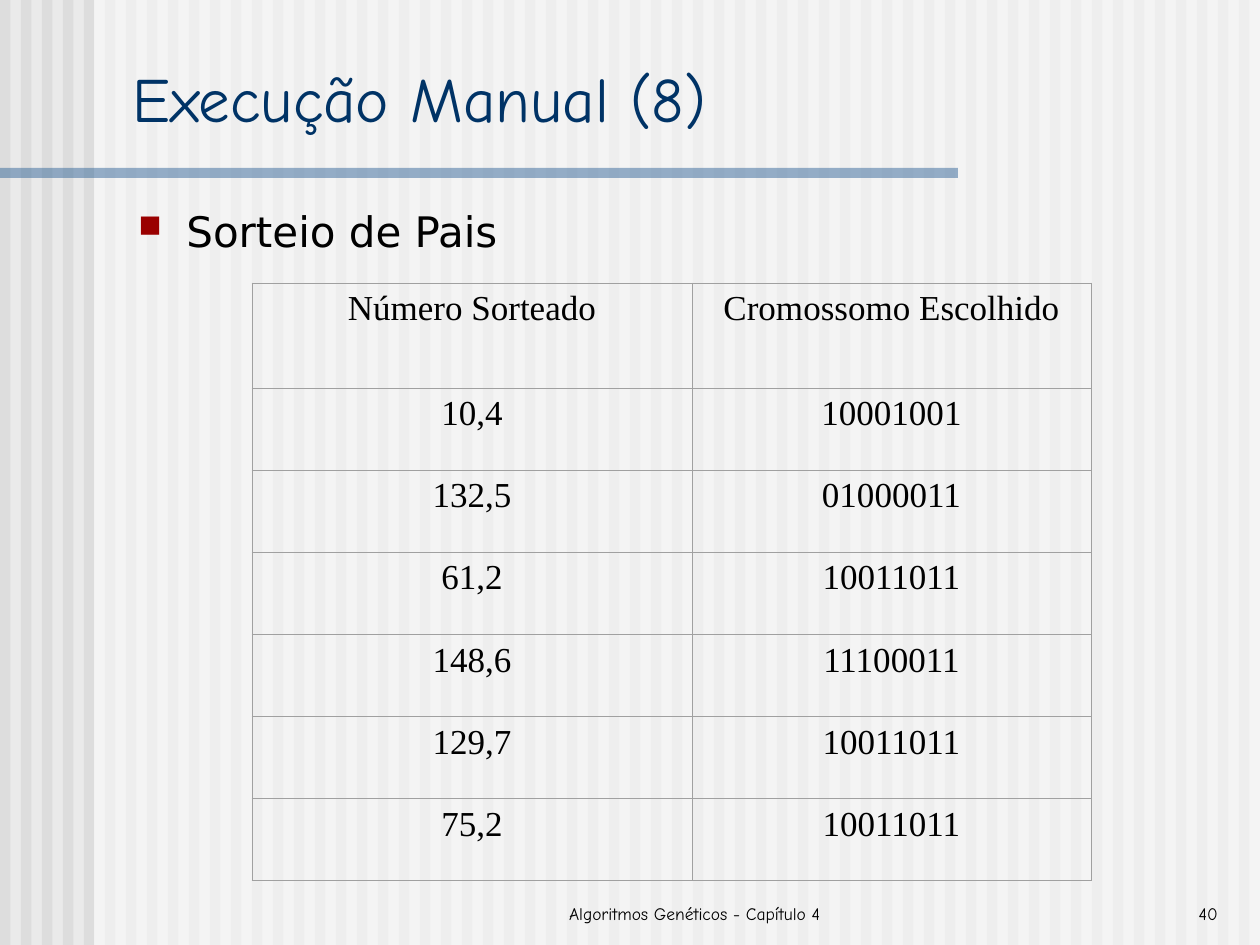
from pptx import Presentation
from pptx import util as u
from pptx.dml.color import RGBColor
from pptx.enum import shapes, text
from pptx.oxml import parse_xml
from pptx.oxml.ns import nsdecls, qn

TITLE = "Execução Manual (8)"
BULLET = "Sorteio de Pais"
FOOTER = "Algoritmos Genéticos - Capítulo 4"
PAGE = "40"
DRAWS = [
    ("Número Sorteado", "Cromossomo Escolhido"),
    ("10,4", "10001001"),
    ("132,5", "01000011"),
    ("61,2", "10011011"),
    ("148,6", "11100011"),
    ("129,7", "10011011"),
    ("75,2", "10011011"),
]


class Theme:
    background, stripe, veil, bar = "EAEAEA", "DDDDDD", "FFFFFF", "336699"
    title, ink, bullet, grid = "003366", "000000", "9A0000", "A0A0A0"
    title_font, body_font, table_font = "Comic Neue", "DejaVu Sans", "Times New Roman"
    title_size, body_size, table_size, footer_size = 36, 24, 20, 10
    grid_width = 0.6


WIDTH, HEIGHT = 1260, 945
STRIPE_PITCH = 21
TABLE_LEFT, TABLE_TOP = 252, 283
COLUMNS = (440, 399)
HEADER_HEIGHT, ROWS_HEIGHT = 105, 493
ROW_HEIGHT = ROWS_HEIGHT / (len(DRAWS) - 1)


def px(n):
    return u.Emu(round(n * 914400 / 126))


def rgb(value):
    return RGBColor.from_string(value)


def write(tf, content, font, size, color, align):
    tf.text = content
    p = tf.paragraphs[0]
    p.alignment = align
    r = p.runs[0]
    r.font.name, r.font.size, r.font.color.rgb = font, u.Pt(size), rgb(color)
    return p


def add_box(s, x, y, w, h, color, alpha=None):
    sp = s.shapes.add_shape(shapes.MSO_SHAPE.RECTANGLE, px(x), px(y), px(w), px(h))
    sp.shadow.inherit = False
    sp.fill.solid()
    sp.fill.fore_color.rgb = rgb(color)
    sp.line.fill.background()
    if alpha:
        fill = sp.element.spPr.find(qn("a:solidFill"))
        fill[0].append(parse_xml(f'<a:alpha {nsdecls("a")} val="{alpha * 1000}"/>'))


def add_text(s, x, y, w, h, anchor, *style):
    tf = s.shapes.add_textbox(px(x), px(y), px(w), px(h)).text_frame
    tf.word_wrap = True
    tf.vertical_anchor = anchor
    return write(tf, *style)


def add_bullet(p):
    pPr = p._p.get_or_add_pPr()
    pPr.set("marL", str(px(48)))
    pPr.set("indent", str(-px(48)))
    for xml in (
        f'<a:buClr {nsdecls("a")}><a:srgbClr val="{Theme.bullet}"/></a:buClr>',
        f'<a:buSzPct {nsdecls("a")} val="75000"/>',
        f'<a:buChar {nsdecls("a")} char="■"/>',
    ):
        pPr.append(parse_xml(xml))


def add_borders(cell):
    tcPr = cell._tc.get_or_add_tcPr()
    for side in ("lnL", "lnR", "lnT", "lnB"):
        tcPr.append(parse_xml(
            f'<a:{side} {nsdecls("a")} w="{u.Pt(Theme.grid_width)}"><a:solidFill>'
            f'<a:srgbClr val="{Theme.grid}"/></a:solidFill></a:{side}>'))


def add_draws(s):
    frame = s.shapes.add_table(
        len(DRAWS), len(COLUMNS), px(TABLE_LEFT), px(TABLE_TOP),
        px(sum(COLUMNS)), px(HEADER_HEIGHT + ROWS_HEIGHT))
    table = frame.table
    table.first_row = table.horz_banding = False
    for column, width in zip(table.columns, COLUMNS):
        column.width = px(width)
    for i, values in enumerate(DRAWS):
        table.rows[i].height = px(ROW_HEIGHT if i else HEADER_HEIGHT)
        for j, value in enumerate(values):
            cell = table.cell(i, j)
            add_borders(cell)
            cell.fill.background()
            write(cell.text_frame, value, Theme.table_font, Theme.table_size,
                  Theme.ink, text.PP_ALIGN.CENTER)


def main():
    prs = Presentation()
    prs.slide_width, prs.slide_height = px(WIDTH), px(HEIGHT)
    s = prs.slides.add_slide(prs.slide_layouts[5])
    s.background.fill.solid()
    s.background.fill.fore_color.rgb = rgb(Theme.background)

    for x in range(0, WIDTH, STRIPE_PITCH):
        add_box(s, x, 0, STRIPE_PITCH / 2, HEIGHT, Theme.stripe)
    add_box(s, 94, 0, WIDTH - 94, HEIGHT, Theme.veil, 50)
    add_box(s, 0, 168, 958, 10, Theme.bar, 50)

    title = s.shapes.title
    title.element.getparent().append(title.element)
    title.left, title.top, title.width, title.height = map(px, (120, 53, 1125, 88))
    tf = title.text_frame
    tf.vertical_anchor = text.MSO_ANCHOR.BOTTOM
    tf.auto_size = text.MSO_AUTO_SIZE.NONE
    write(tf, TITLE, Theme.title_font, Theme.title_size, Theme.title, text.PP_ALIGN.LEFT)

    add_draws(s)
    p = add_text(s, 126, 199, 1118, 70, text.MSO_ANCHOR.TOP, BULLET,
                 Theme.body_font, Theme.body_size, Theme.ink, text.PP_ALIGN.LEFT)
    p.space_before = u.Pt(6)
    add_bullet(p)

    for x, w, content, align in (
        (495, 399, FOOTER, text.PP_ALIGN.CENTER),
        (968, 262, PAGE, text.PP_ALIGN.RIGHT),
    ):
        add_text(s, x, 867, w, 63, text.MSO_ANCHOR.BOTTOM, content,
                 Theme.title_font, Theme.footer_size, Theme.ink, align)
    prs.save("out.pptx")


if __name__ == "__main__":
    main()
